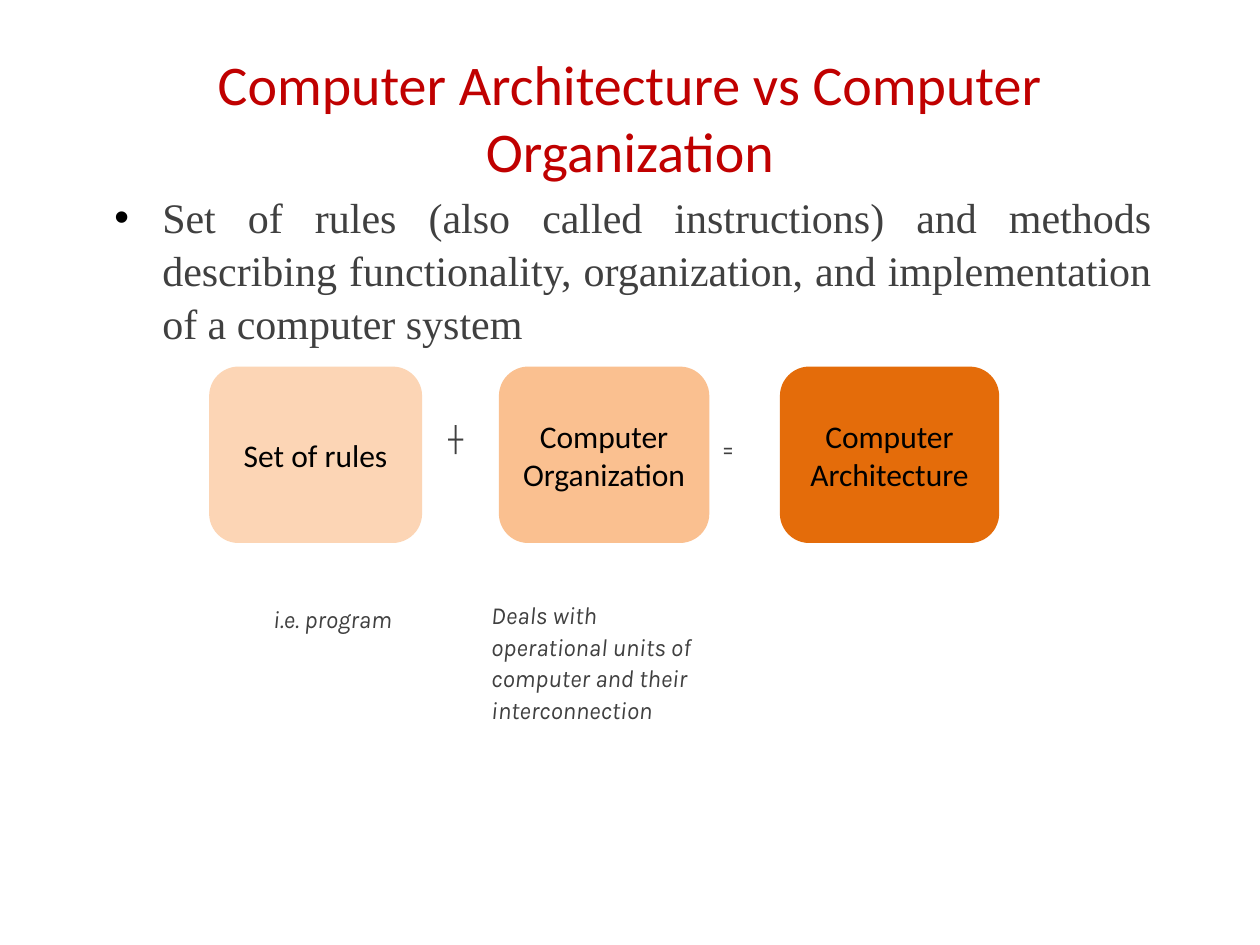
"""Build the slide comparing computer architecture with computer organization."""
from lxml import etree
from pptx import Presentation
from pptx.dml.color import RGBColor
from pptx.enum.shapes import MSO_SHAPE
from pptx.enum.text import MSO_ANCHOR, PP_ALIGN
from pptx.oxml.ns import qn
from pptx.util import Inches, Pt

ROUNDED = MSO_SHAPE.ROUNDED_RECTANGLE
TOP, MIDDLE = MSO_ANCHOR.TOP, MSO_ANCHOR.MIDDLE
LEFT, CENTER, JUSTIFY = PP_ALIGN.LEFT, PP_ALIGN.CENTER, PP_ALIGN.JUSTIFY
GRAY = "404040"


def color(value):
    return RGBColor.from_string(value)


def write(holder, text, ink, font, align=LEFT, anchor=TOP, wrap=True, spacing=None):
    frame = holder.text_frame
    frame.word_wrap = wrap
    frame.vertical_anchor = anchor
    paragraph = frame.paragraphs[0]
    paragraph.text = text
    paragraph.alignment = align
    paragraph.line_spacing = spacing
    face = paragraph.runs[0].font
    for key, value in font.items():
        setattr(face, key, value)
    face.color.rgb = color(ink)
    return paragraph


deck = Presentation()
deck.slide_width, deck.slide_height = Inches(10), Inches(7.5)
slide = deck.slides.add_slide(deck.slide_layouts[6])
shapes = slide.shapes

title = shapes.add_textbox(Inches(0.5), Inches(0.3), Inches(9), Inches(1.25))
write(title, "Computer Architecture vs Computer Organization", "C00000",
      {"name": "Calibri", "size": Pt(32)}, CENTER, MIDDLE)

definition = shapes.add_textbox(Inches(0.81), Inches(1.45), Inches(8.43), Inches(1.4))
rule = write(
    definition,
    "Set of rules (also called instructions) and methods describing functionality, "
    "organization, and implementation of a computer system",
    GRAY, {"name": "Times New Roman", "size": Pt(24)}, JUSTIFY, spacing=1.05)
indent = rule._p.get_or_add_pPr()
indent.set("marL", str(Inches(0.38)))
indent.set("indent", str(-Inches(0.38)))
bullet_color = etree.SubElement(indent, qn("a:buClr"))
etree.SubElement(bullet_color, qn("a:srgbClr"), val="000000")
etree.SubElement(indent, qn("a:buFont"), typeface="Arial")
etree.SubElement(indent, qn("a:buChar"), char="•")

for term, left, width, fill in [
    ("Set of rules", 1.66, 1.69, "FCD5B5"),
    ("Computer Organization", 3.96, 1.67, "FAC090"),
    ("Computer Architecture", 6.19, 1.74, "E46C0A"),
]:
    block = shapes.add_shape(ROUNDED, Inches(left), Inches(2.91), Inches(width), Inches(1.4))
    block.shadow.inherit = False
    block.fill.solid()
    block.fill.fore_color.rgb = color(fill)
    block.line.fill.background()
    write(block, term, "000000", {"name": "Calibri", "size": Pt(18)}, CENTER, MIDDLE)

for remark, left, top, width in [
    ("Deals with operational units of computer and their interconnection", 3.8, 4.7, 1.99),
    ("i.e. program", 2.07, 4.73, 1.2),
]:
    note = shapes.add_textbox(Inches(left), Inches(top), Inches(width), Inches(0.85))
    write(note, remark, GRAY, {"name": "Karla", "size": Pt(14), "italic": True},
          spacing=Pt(18))

for sign, left, top, bold in [("┼", 3.46, 3.32, True), ("=", 5.63, 3.39, False)]:
    operator = shapes.add_textbox(Inches(left), Inches(top), Inches(0.34), Inches(0.34))
    write(operator, sign, GRAY, {"name": "Karla", "size": Pt(14), "bold": bold}, wrap=False)

deck.save("out.pptx")
